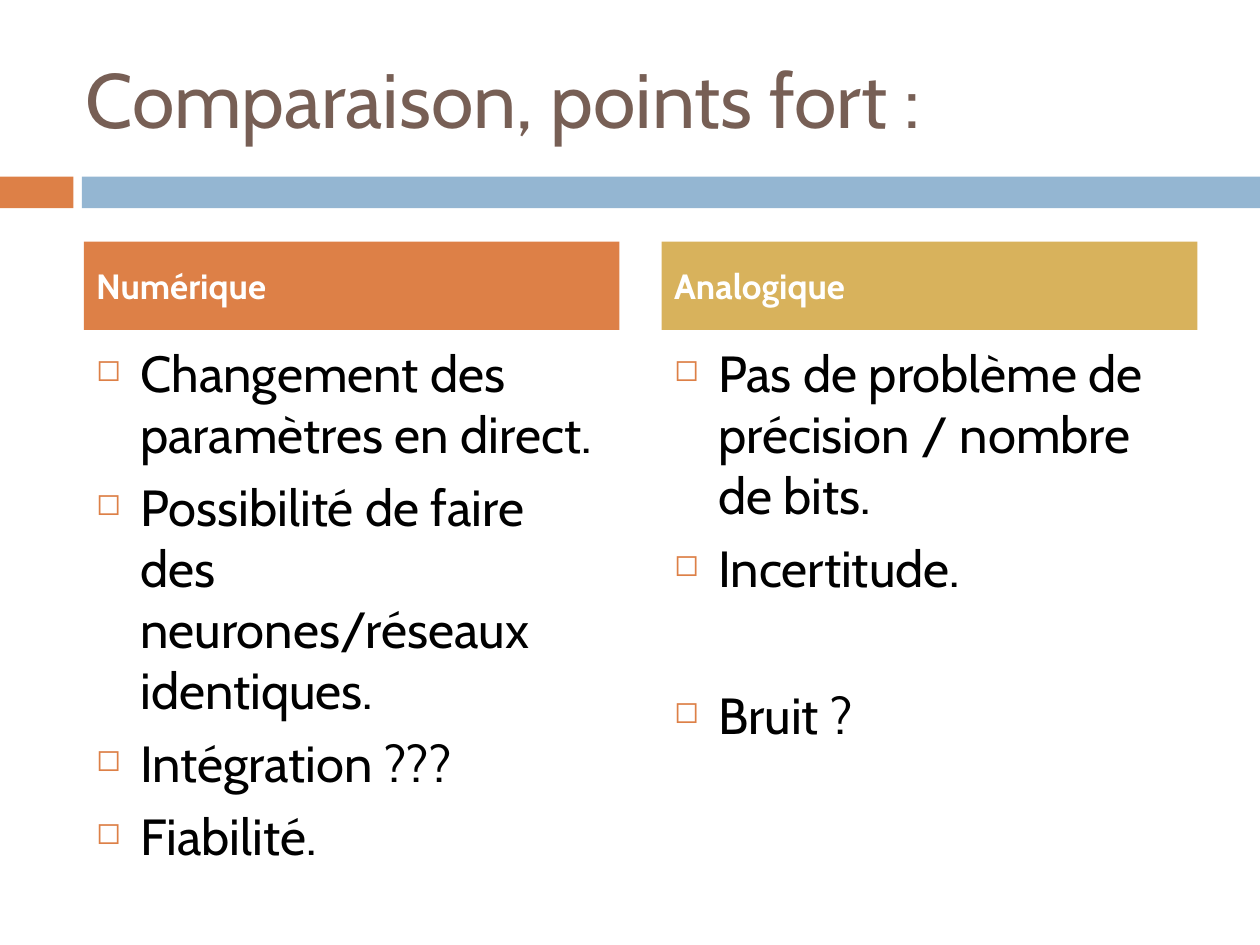
import pptx
import pptx.util
import pptx.dml.color
import pptx.enum.shapes
import pptx.enum.text
import pptx.oxml
import pptx.oxml.ns

Cm, Pt = pptx.util.Cm, pptx.util.Pt
RGB = pptx.dml.color.RGBColor
ANCHOR = pptx.enum.text.MSO_ANCHOR

ORANGE = RGB(0xDD, 0x80, 0x47)
BLUE = RGB(0x94, 0xB6, 0xD2)
GOLD = RGB(0xD8, 0xB2, 0x5C)
BROWN = RGB(0x77, 0x5F, 0x55)
BLACK = RGB(0, 0, 0)
WHITE = RGB(0xFF, 0xFF, 0xFF)

FONT = "Cabin"
GAP = 7       # space above each paragraph, in points
WIDE = 49     # space above a point that stands apart
COL_W = 10.8

# Each column: left edge, heading, colour, points with the space above
COLUMNS = [
    (1.69, "Numérique", ORANGE, [
        ("Changement des paramètres en direct.", GAP),
        ("Possibilité de faire des neurones/réseaux identiques.", GAP),
        ("Intégration ???", GAP),
        ("Fiabilité.", GAP),
    ]),
    (13.34, "Analogique", GOLD, [
        ("Pas de problème de précision / nombre de bits.", GAP),
        ("Incertitude.", GAP),
        ("Bruit ?", WIDE),
    ]),
]


def add_bar(slide, x, y, w, h, fill):
    kind = pptx.enum.shapes.MSO_SHAPE.RECTANGLE
    bar = slide.shapes.add_shape(kind, Cm(x), Cm(y), Cm(w), Cm(h))
    bar.shadow.inherit = False
    bar.fill.solid()
    bar.fill.fore_color.rgb = fill
    bar.line.fill.background()
    return bar


def add_box(slide, x, y, w, h):
    return slide.shapes.add_textbox(Cm(x), Cm(y), Cm(w), Cm(h))


def set_frame(shape, anchor):
    frame = shape.text_frame
    frame.word_wrap = True
    frame.vertical_anchor = anchor
    return frame


def set_text(para, text, size, color, bold=False, above=0):
    para.text = text
    para.alignment = pptx.enum.text.PP_ALIGN.LEFT
    para.space_before = Pt(above)
    para.font.name = FONT
    para.font.size = Pt(size)
    para.font.bold = bold
    para.font.color.rgb = color


def add_bullet(para):
    props = para._p.get_or_add_pPr()
    props.set("marL", str(Cm(0.89)))
    props.set("indent", str(-Cm(0.89)))
    space = pptx.oxml.ns.nsdecls("a")
    for part in (
        f'<a:buClr {space}><a:srgbClr val="{ORANGE}"/></a:buClr>',
        f'<a:buSzPct {space} val="60000"/>',
        f'<a:buChar {space} char="◻"/>',
    ):
        props.append(pptx.oxml.parse_xml(part))


def add_list(slide, x, points):
    frame = set_frame(add_box(slide, x, 6.77, COL_W, 9.95), ANCHOR.TOP)
    for i, (text, above) in enumerate(points):
        para = frame.add_paragraph() if i else frame.paragraphs[0]
        para.space_before = Pt(above)
        add_bullet(para)
        set_text(para, text, 29, BLACK, above=above)


def add_head(slide, x, text, fill):
    bar = add_bar(slide, x, 4.87, COL_W, 1.78, fill)
    frame = set_frame(bar, ANCHOR.MIDDLE)
    set_text(frame.paragraphs[0], text, 20, WHITE, bold=True, above=GAP)


def main():
    deck = pptx.Presentation()
    deck.slide_width, deck.slide_height = Cm(25.4), Cm(19.05)
    slide = deck.slides.add_slide(deck.slide_layouts[6])

    # Band under the title
    add_bar(slide, 0, 3.56, 1.48, 0.64, ORANGE)
    add_bar(slide, 1.65, 3.56, 23.75, 0.64, BLUE)

    # Title
    frame = set_frame(add_box(slide, 1.48, 0.76, 22.66, 2.41), ANCHOR.MIDDLE)
    set_text(frame.paragraphs[0], "Comparaison, points fort :", 44, BROWN)

    # Two columns
    for x, head, fill, points in COLUMNS:
        add_list(slide, x, points)
        add_head(slide, x, head, fill)

    deck.save("out.pptx")


main()
